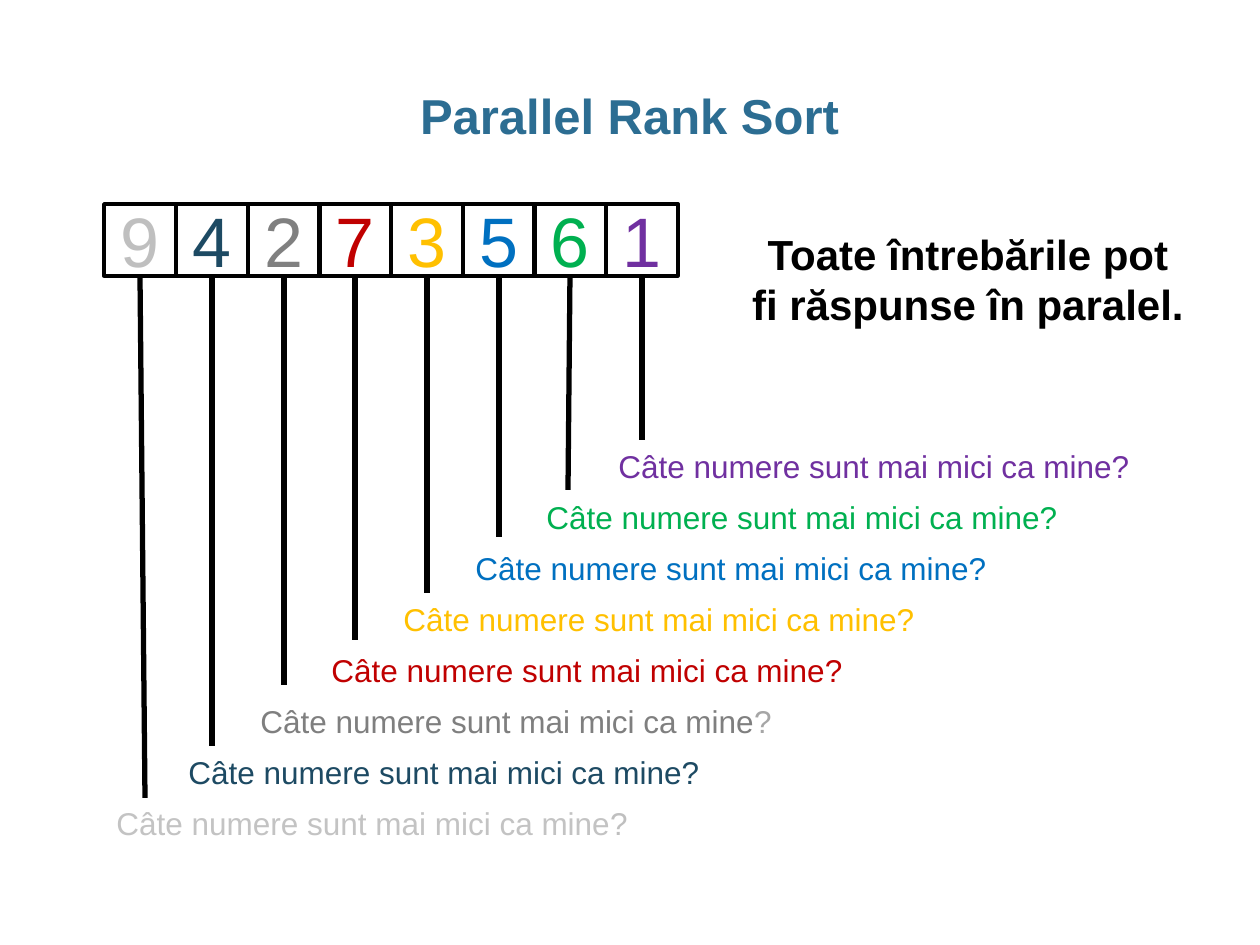
"""Build the Parallel Rank Sort slide."""
from lxml import etree
from pptx import Presentation
from pptx.dml.color import RGBColor
from pptx.enum import shapes, text
from pptx.oxml.ns import qn
from pptx.util import Pt

SCALE = 914400 / 126
COLORS = {
    "title": "2C6D92", "black": "000000", "silver": "BFBFBF",
    "light": "C3C3C3", "navy": "1D4A63", "digit gray": "808080",
    "gray": "7F7F7F", "pale gray": "A6A6A6", "red": "C00000",
    "gold": "FFC000", "blue": "0070C0", "green": "00B050",
    "purple": "7030A0",
}
QUESTION = "Câte numere sunt mai mici ca mine"
CELL = 72
ROW_LEFT, ROW_TOP, ROW_WIDTH = 104, 204, 574
QUESTION_TOP, QUESTION_STEP = 798, 51
NUMBERS = [
    ("9", "silver", "light", "silver", 798, 5),
    ("4", "navy", "navy", "navy", 746, 0),
    ("2", "digit gray", "gray", "pale gray", 685, 0),
    ("7", "red", "red", "red", 640, 0),
    ("3", "gold", "gold", "gold", 593, 0),
    ("5", "blue", "blue", "blue", 537, 0),
    ("6", "green", "green", "green", 490, -2),
    ("1", "purple", "purple", "purple", 440, 0),
]


def px(*lengths):
    return [round(length * SCALE) for length in lengths]


def add_run(paragraph, words, size, color, bold=False):
    run = paragraph.add_run()
    run.text = words
    run.font.name = "Arial"
    run.font.size = Pt(size)
    run.font.bold = bold
    run.font.color.rgb = RGBColor.from_string(COLORS[color])


presentation = Presentation()
presentation.slide_width, presentation.slide_height = px(1260, 945)
slide = presentation.slides.add_slide(presentation.slide_layouts[6])
black = RGBColor.from_string(COLORS["black"])

title = slide.shapes.add_textbox(*px(43, 86, 1173, 63))
title.text_frame.word_wrap = True
title.text_frame.margin_left = title.text_frame.margin_right = 0
title.text_frame.vertical_anchor = text.MSO_ANCHOR.MIDDLE
paragraph = title.text_frame.paragraphs[0]
paragraph.alignment = text.PP_ALIGN.CENTER
paragraph.line_spacing = 0.95
add_run(paragraph, "Parallel Rank Sort", 28, "title", True)

lefts = [ROW_LEFT + round(i * ROW_WIDTH / len(NUMBERS)) for i in range(len(NUMBERS))]

for left, (digit, color, *_) in zip(lefts, NUMBERS):
    cell = slide.shapes.add_shape(
        shapes.MSO_SHAPE.RECTANGLE, *px(left, ROW_TOP, CELL, CELL))
    cell.shadow.inherit = False
    cell.fill.background()
    cell.line.color.rgb = black
    cell.line.width = Pt(2)
    cell.text_frame.vertical_anchor = text.MSO_ANCHOR.MIDDLE
    paragraph = cell.text_frame.paragraphs[0]
    paragraph.alignment = text.PP_ALIGN.CENTER
    add_run(paragraph, digit, 40, color)

for left, (*_, bottom, slant) in zip(lefts, NUMBERS):
    center = left + CELL // 2
    connector = slide.shapes.add_connector(
        shapes.MSO_CONNECTOR.STRAIGHT,
        *px(center, ROW_TOP + CELL, center + slant, bottom))
    connector.line.color.rgb = black
    connector.line.width = Pt(3)
    etree.SubElement(connector._element.spPr, qn("a:effectLst"))

remark = slide.shapes.add_textbox(*px(737, 222, 462, 115))
remark.text_frame.word_wrap = True
remark.text_frame.auto_size = text.MSO_AUTO_SIZE.SHAPE_TO_FIT_TEXT
paragraph = remark.text_frame.paragraphs[0]
paragraph.alignment = text.PP_ALIGN.CENTER
add_run(paragraph, "Toate întrebările pot fi răspunse în paralel.", 24, "black", True)

for i, (left, number) in enumerate(zip(lefts, NUMBERS)):
    question_color, mark_color = number[2:4]
    question = slide.shapes.add_textbox(
        *px(left, QUESTION_TOP - i * QUESTION_STEP, 542, 51))
    question.text_frame.word_wrap = False
    question.text_frame.auto_size = text.MSO_AUTO_SIZE.SHAPE_TO_FIT_TEXT
    paragraph = question.text_frame.paragraphs[0]
    if question_color == mark_color:
        add_run(paragraph, QUESTION + "?", 18, question_color)
    else:
        add_run(paragraph, QUESTION, 18, question_color)
        add_run(paragraph, "?", 18, mark_color)

presentation.save("out.pptx")
